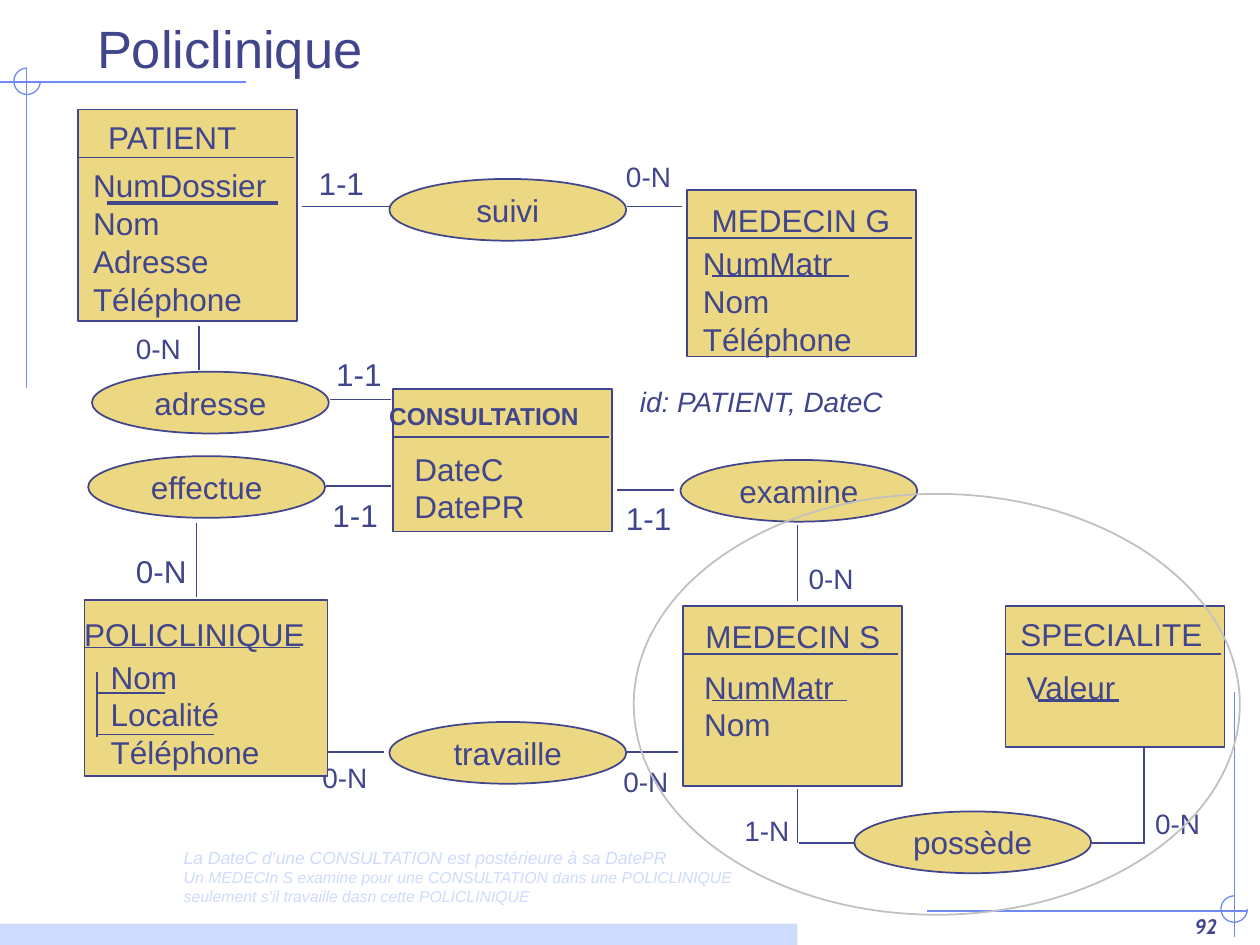
from lxml import etree
from pptx import Presentation
from pptx import util as u
from pptx.dml.color import RGBColor
from pptx.enum import shapes, text
from pptx.oxml import ns

INK, SAND, BLUE, PALE, GREY = "40458C", "ECD882", "6F89F7", "CFDBFD", "C0C0C0"
RECT = shapes.MSO_SHAPE.RECTANGLE
OVAL = shapes.MSO_SHAPE.OVAL
ARC = shapes.MSO_SHAPE.ARC
rgb = RGBColor.from_string


def write(lines, box=None, holder=None, size=18, sizes=None, color=INK, font="Arial",
          bold=False, italic=False, align=text.PP_ALIGN.LEFT,
          anchor=text.MSO_ANCHOR.TOP, wrap=False, fit=True):
    """Fill the holder, or a new text box, with one paragraph per line."""
    holder = holder or slide.shapes.add_textbox(*map(u.Inches, box))
    frame = holder.text_frame
    frame.text = "\n".join(lines)
    frame.word_wrap = wrap
    frame.auto_size = (text.MSO_AUTO_SIZE.SHAPE_TO_FIT_TEXT if fit
                       else text.MSO_AUTO_SIZE.NONE)
    frame.vertical_anchor = anchor
    for index, paragraph in enumerate(frame.paragraphs):
        paragraph.alignment = align
        style = paragraph.font
        style.size = u.Pt(sizes[index] if sizes else size)
        style.name, style.bold, style.italic = font, bold, italic
        style.color.rgb = rgb(color)


def rule(x1, y1, x2, y2, color=INK, weight=1):
    """Draw a straight line without shadow."""
    line = slide.shapes.add_connector(shapes.MSO_CONNECTOR.STRAIGHT,
                                      *map(u.Inches, (x1, y1, x2, y2)))
    line.line.color.rgb = rgb(color)
    line.line.width = u.Pt(weight)
    etree.SubElement(line._element.spPr, ns.qn("a:effectLst"))


prs = Presentation()
prs.slide_width, prs.slide_height = u.Inches(10), u.Inches(7.5)
slide = prs.slides.add_slide(prs.slide_layouts[5])

# Title and page number
title = slide.shapes.title
title.left, title.top, title.width, title.height = map(u.Inches, (0.67, 0.01, 9.08, 0.67))
write(["Policlinique"], holder=title, size=30, anchor=text.MSO_ANCHOR.BOTTOM,
      wrap=True, fit=False)
write(["92"], (7.68, 7, 2.08, 0.5), size=12, font="Cabin", bold=True, italic=True,
      align=text.PP_ALIGN.RIGHT, anchor=text.MSO_ANCHOR.BOTTOM, wrap=True, fit=False)

# Corner axes
for axis in [(1.95, 0.65, 0, 0.65), (0.21, 0.55, 0.21, 3.08),
             (9.8, 5.49, 9.8, 7.44), (9.9, 7.23, 7.36, 7.23)]:
    rule(*axis, color=BLUE, weight=0.75)

# Links between entities and relationships
for link in [
    (4.9, 3.89, 5.35, 3.89), (6.33, 4.17, 6.33, 4.77), (1.56, 4.15, 1.56, 4.74),
    (2.4, 1.64, 3.1, 1.64), (4.98, 1.64, 5.41, 1.64),
    (2.42, 5.97, 3.05, 5.97), (4.98, 5.97, 5.38, 5.97),
    (1.58, 2.59, 1.58, 2.94), (2.62, 3.17, 3.1, 3.17), (2.59, 3.86, 3.1, 3.86),
    (6.33, 6.26, 6.33, 6.69), (6.34, 6.69, 6.8, 6.69),
    (8.67, 6.69, 9.08, 6.69), (9.08, 6.7, 9.08, 5.94),
]:
    rule(*link)

# Cardinalities
for cardinality, x, y, size in [
    ("0-N", 0.98, 4.33, 18), ("0-N", 6.32, 4.41, 16), ("1-1", 4.87, 3.91, 18),
    ("1-1", 2.43, 1.25, 18), ("0-N", 4.87, 1.22, 16), ("0-N", 4.85, 6.02, 16),
    ("0-N", 2.46, 5.99, 16), ("1-1", 2.57, 2.77, 18), ("1-1", 2.54, 3.89, 18),
    ("0-N", 0.98, 2.58, 16), ("1-N", 5.81, 6.41, 16), ("0-N", 9.07, 6.35, 16),
]:
    write([cardinality], (x, y, 0.6 if (cardinality, size) == ("0-N", 18) else 0.56,
                          0.4 if size == 18 else 0.36), size=size)

# Entities: frame, name box, name size, attribute box, attributes
entities = [
    ((7.98, 4.81, 1.74, 1.12), "SPECIALITE", (8, 4.83, 1.68, 0.4), 18,
     (8.05, 5.25, 0.95, 0.4), ["Valeur"]),
    ((5.45, 1.51, 1.82, 1.32), "MEDECIN G", (5.55, 1.55, 1.65, 0.4), 18,
     (5.48, 1.89, 1.42, 1), ["NumMatr", "Nom", "Téléphone"]),
    ((3.12, 3.09, 1.74, 1.13), "CONSULTATION", (2.99, 3.13, 1.78, 0.33), 14,
     (3.19, 3.52, 1.11, 0.7), ["DateC", "DatePR"]),
    ((5.42, 4.81, 1.74, 1.43), "MEDECIN S", (5.5, 4.85, 1.62, 0.4), 18,
     (5.49, 5.25, 1.27, 0.7), ["NumMatr", "Nom"]),
    ((0.62, 0.87, 1.74, 1.68), "PATIENT", (0.76, 0.89, 1.28, 0.4), 18,
     (0.64, 1.27, 1.62, 1.3), ["NumDossier", "Nom", "Adresse", "Téléphone"]),
    ((0.67, 4.76, 1.93, 1.4), "POLICLINIQUE", (0.57, 4.83, 1.98, 0.4), 18,
     (0.78, 5.17, 1.46, 1), ["Nom", "Localité", "Téléphone"]),
]
relationships = [("possède", 6.78, 6.44), ("effectue", 0.7, 3.62), ("examine", 5.4, 3.65),
                 ("suivi", 3.09, 1.42), ("travaille", 3.09, 5.73), ("adresse", 0.73, 2.95)]

# Footer bar, corner arcs, entity frames, relationship ovals and the grouping oval
outlines = [(RECT, (0, 7.33, 6.33, 0.17), PALE, None, 0, None)]
outlines += [(ARC, (x, y, 0.21, 0.21), None, BLUE, 0.75, None)
             for x, y in [(0.11, 0.54), (9.69, 7.11)]]
outlines += [(RECT, entity[0], SAND, INK, 1, None) for entity in entities]
outlines += [(OVAL, (x, y, 1.88, 0.49), SAND, INK, 1, name) for name, x, y in relationships]
outlines += [(OVAL, (5.03, 3.92, 4.81, 3.34), None, GREY, 1, None)]
for preset, box, fill, edge, weight, name in outlines:
    outline = slide.shapes.add_shape(preset, *map(u.Inches, box))
    outline.shadow.inherit = False
    if fill:
        outline.fill.solid()
        outline.fill.fore_color.rgb = rgb(fill)
    else:
        outline.fill.background()
    if edge:
        outline.line.color.rgb = rgb(edge)
        outline.line.width = u.Pt(weight)
    else:
        outline.line.fill.background()
    if preset == ARC:  # three quarters, from the right round to the top
        outline.adjustments[0], outline.adjustments[1] = 0, 162
    if name:
        write([name], holder=outline, align=text.PP_ALIGN.CENTER,
              anchor=text.MSO_ANCHOR.MIDDLE, fit=False)

# Entity names, dividers and attributes
for (x, y, width, height), name, name_box, size, attribute_box, attributes in entities:
    rule(x, y + 0.38, x + (1.79 if name == "MEDECIN G" else 1.71), y + 0.38)
    write([name], name_box, size=size, bold=size == 14)
    write(attributes, attribute_box)

# Key underlines and the bracket of the composite key
for x1, y1, x2, y2, weight in [
    (8.24, 5.56, 8.88, 5.56, 2), (0.85, 1.61, 2.21, 1.61, 2),
    (5.65, 5.56, 6.72, 5.56, 1), (5.65, 2.19, 6.74, 2.19, 1),
    (0.77, 5.83, 1.7, 5.83, 1), (0.77, 5.33, 0.77, 5.85, 1), (0.77, 5.5, 1.31, 5.5, 1),
]:
    rule(x1, y1, x2, y2, weight=weight)

# Identifier and constraints
write(["id: PATIENT, DateC"], (4.98, 3, 2.7, 0.36), size=16, italic=True, wrap=True)
write(["La DateC d’une CONSULTATION est postérieure à sa DatePR",
       "Un MEDECIn S examine pour une CONSULTATION dans une POLICLINIQUE",
       "seulement s’il travaille dasn cette POLICLINIQUE"],
      (1.36, 6.67, 4.58, 0.56), sizes=[10, 9, 9], color=PALE, italic=True)

prs.save("out.pptx")
